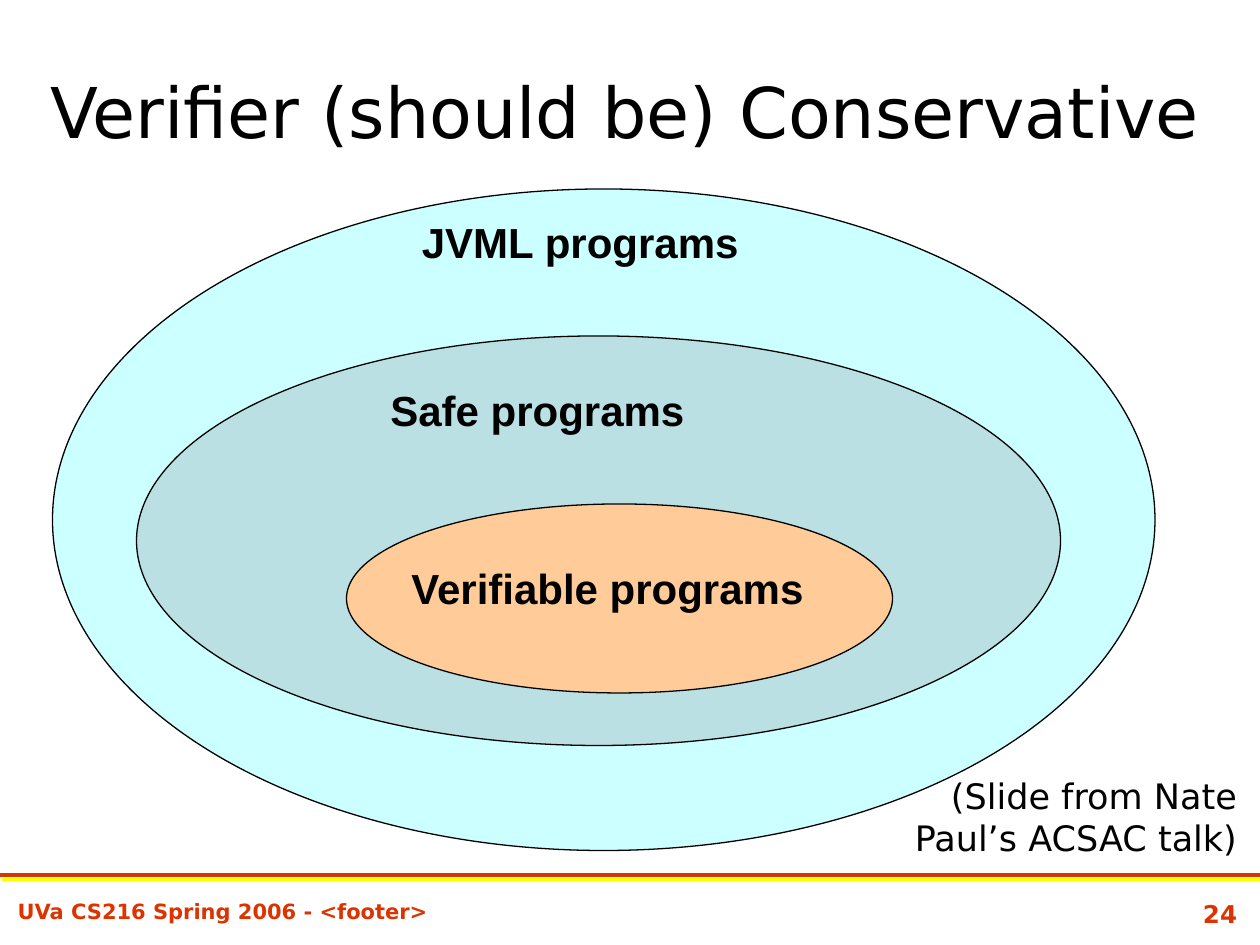
from lxml.etree import SubElement
from pptx import Presentation
from pptx.dml.color import RGBColor
from pptx.enum.shapes import MSO_CONNECTOR, MSO_SHAPE
from pptx.enum.text import MSO_ANCHOR, PP_ALIGN
from pptx.oxml.ns import qn
from pptx.util import Pt

WIDTH, HEIGHT = 720, 540
BLACK, RED, YELLOW = "000000", "DD3300", "FFFF00"


def color(hex_string):
    return RGBColor.from_string(hex_string)


class SlideBuilder:
    """Holds the text style and the current slide; lengths are in points."""

    body_font = "DejaVu Sans"
    label_font = "Arial"

    def __init__(self, slide):
        self.slide = slide

    def text(self, words, left, top, width, height, size, font=body_font,
             ink=BLACK, bold=False, align=PP_ALIGN.LEFT, anchor=MSO_ANCHOR.TOP):
        box = self.slide.shapes.add_textbox(Pt(left), Pt(top), Pt(width), Pt(height))
        frame = box.text_frame
        frame.word_wrap = True
        frame.vertical_anchor = anchor
        paragraph = frame.paragraphs[0]
        paragraph.text = words
        paragraph.alignment = align
        paragraph.font.name = font
        paragraph.font.size = Pt(size)
        paragraph.font.bold = bold
        paragraph.font.color.rgb = color(ink)

    def label(self, words, left, top, width):
        self.text(words, left, top, width, 36, 24, font=self.label_font, bold=True)

    def ellipse(self, left, top, width, height, fill):
        shape = self.slide.shapes.add_shape(
            MSO_SHAPE.OVAL, Pt(left), Pt(top), Pt(width), Pt(height))
        shape.shadow.inherit = False
        shape.fill.solid()
        shape.fill.fore_color.rgb = color(fill)
        shape.line.color.rgb = color(BLACK)
        shape.line.width = Pt(0.75)

    def rule(self, left, top, ink, weight):
        """Draw a horizontal line as long as the slide is wide."""
        line = self.slide.shapes.add_connector(
            MSO_CONNECTOR.STRAIGHT, Pt(left), Pt(top), Pt(left + WIDTH), Pt(top))
        line.line.color.rgb = color(ink)
        line.line.width = Pt(weight)
        SubElement(line._element.spPr, qn("a:effectLst"))


def main():
    presentation = Presentation()
    presentation.slide_width, presentation.slide_height = Pt(WIDTH), Pt(HEIGHT)
    slide = presentation.slides.add_slide(presentation.slide_layouts[6])
    builder = SlideBuilder(slide)

    builder.text("24", 564, 510, 150, 27, 14, ink=RED, bold=True, align=PP_ALIGN.RIGHT)
    builder.text("UVa CS216 Spring 2006 - <footer>", 3, 510, 651, 26, 12,
                 ink=RED, bold=True)
    builder.rule(0, 500, RED, 2.5)
    builder.rule(1, 502.5, YELLOW, 1.5)

    builder.text("Verifier (should be) Conservative", 10, 18, 694, 90, 40,
                 align=PP_ALIGN.CENTER, anchor=MSO_ANCHOR.MIDDLE)

    program_sets = [
        ("JVML programs", (30, 108, 630, 378), "CCFFFF", (234, 120, 212)),
        ("Safe programs", (78, 192, 528, 234), "BBE0E3", (216, 216, 270)),
        ("Verifiable programs", (198, 288, 312, 108), "FFCC99", (228, 318, 270)),
    ]
    for words, bounds, fill, label_place in program_sets:
        builder.ellipse(*bounds, fill)
        builder.label(words, *label_place)

    builder.text("(Slide from Nate Paul’s ACSAC talk)", 481, 439, 233, 56, 20,
                 align=PP_ALIGN.RIGHT)
    presentation.save("out.pptx")


if __name__ == "__main__":
    main()
